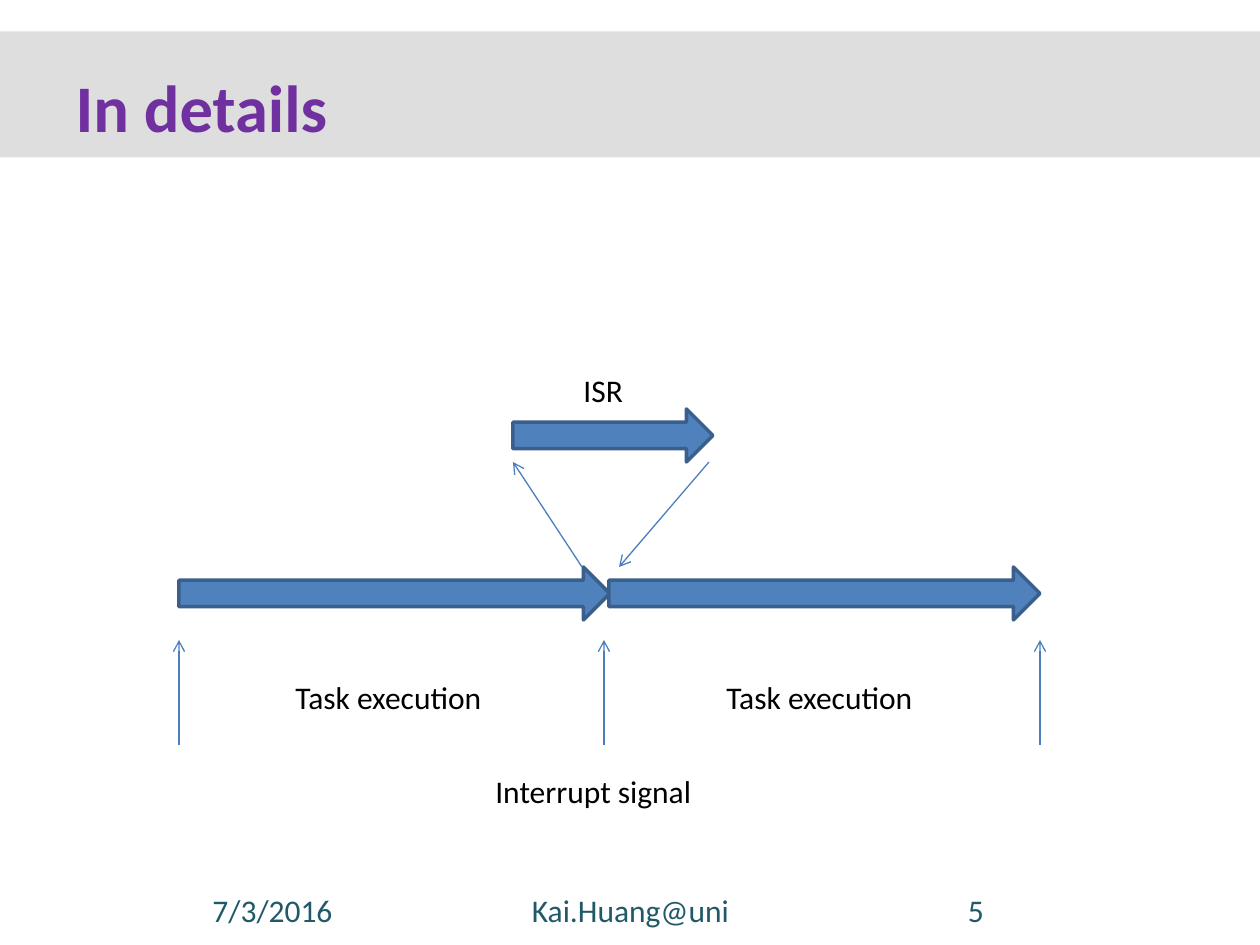
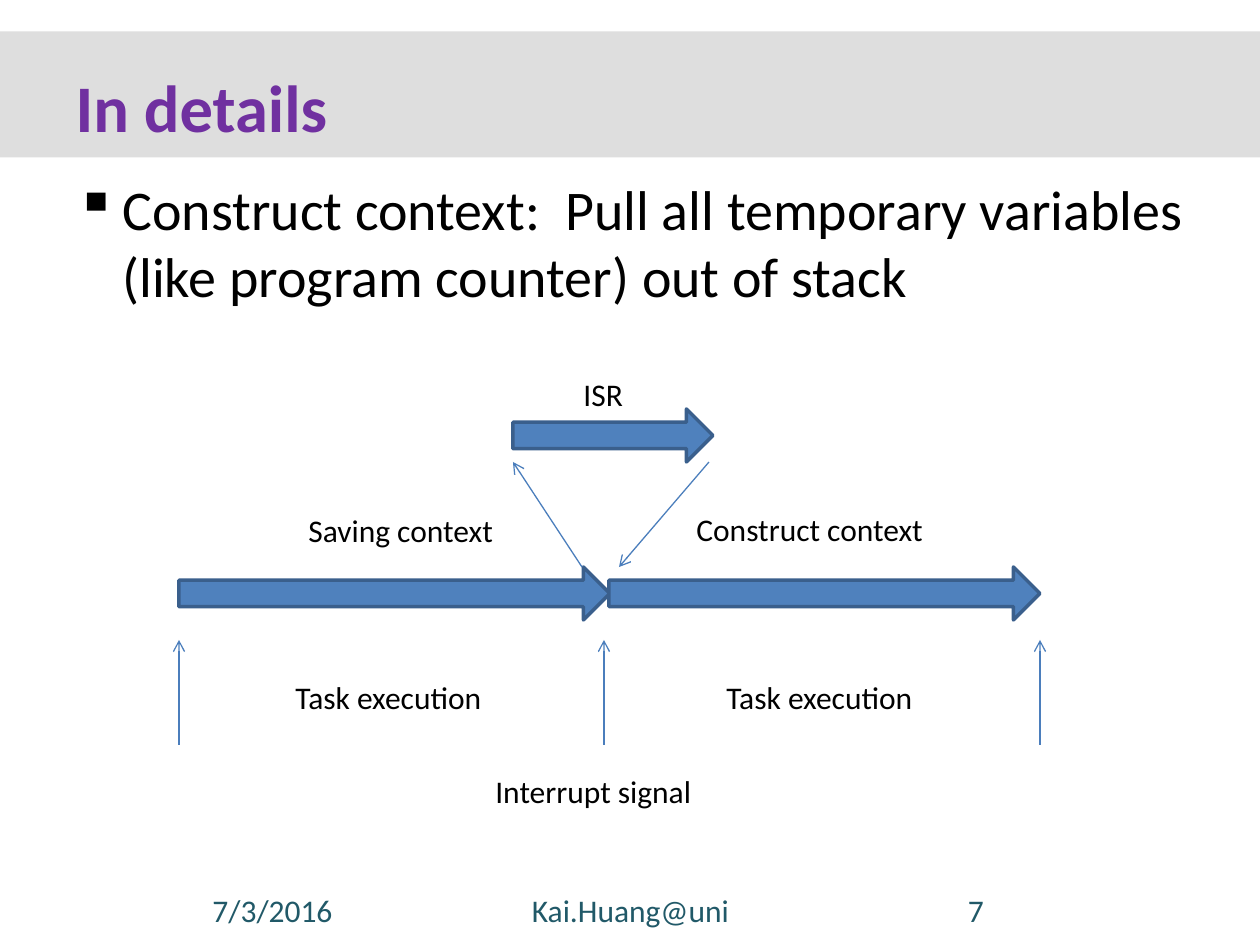
"""Build two slides that show how an interrupt suspends and resumes a task."""
from lxml import etree
from pptx import Presentation
from pptx.dml.color import RGBColor
from pptx.enum.shapes import MSO_CONNECTOR, MSO_SHAPE
from pptx.enum.text import MSO_ANCHOR, PP_ALIGN
from pptx.oxml.ns import qn
from pptx.util import Emu, Pt

STRAIGHT = MSO_CONNECTOR.STRAIGHT
RECTANGLE, RIGHT_ARROW = MSO_SHAPE.RECTANGLE, MSO_SHAPE.RIGHT_ARROW
LEFT, CENTER = PP_ALIGN.LEFT, PP_ALIGN.CENTER
MIDDLE = MSO_ANCHOR.MIDDLE

FONT = "Calibri"
BLACK = RGBColor(0x00, 0x00, 0x00)
BAND_GREY = RGBColor(0xDE, 0xDE, 0xDE)
TITLE_PURPLE = RGBColor(0x70, 0x30, 0xA0)
FOOTER_TEAL = RGBColor(0x21, 0x59, 0x68)
ARROW_BLUE = RGBColor(0x4F, 0x81, 0xBD)
ARROW_EDGE = RGBColor(0x3A, 0x5F, 0x8C)
LINE_BLUE = RGBColor(0x4B, 0x7E, 0xBC)

TITLE_ONLY = 5
LABEL_HEIGHT = 50
FOOTER_TOP = 885
TASK_TOP, TASK_WIDTH, ARROW_HEIGHT = 567, 431, 53
ISR_TOP = 409
ISR_BOTTOM = ISR_TOP + ARROW_HEIGHT
SIGNAL_TOP, SIGNAL_BOTTOM = 640, 745

BLOCK_ARROWS = [
    (179, TASK_TOP, TASK_WIDTH),
    (609, TASK_TOP, TASK_WIDTH),
    (513, ISR_TOP, 200),
]
SWITCHES = [(582, TASK_TOP, 513, ISR_BOTTOM), (709, ISR_BOTTOM, 619, TASK_TOP)]
SIGNALS = [(x, SIGNAL_BOTTOM, x, SIGNAL_TOP) for x in (179, 604, 1040)]
LABELS = [
    ("Task execution", 283, 672, 221),
    ("Task execution", 714, 672, 221),
    ("Interrupt signal", 483, 766, 242),
]
PAGES = [
    {"number": "5", "bullet": None, "labels": [("ISR", 571, 365, 70)]},
    {
        "number": "7",
        "bullet": "Construct context:  Pull all temporary variables "
                  "(like program counter) out of stack",
        "labels": [
            ("ISR", 571, 369, 70),
            ("Saving context", 296, 505, 221),
            ("Construct context", 684, 504, 262),
        ],
    },
]


def px(*lengths):
    return [Emu(round(length * 914400 / 126)) for length in lengths]


def add_text(page, text, bounds, size=18, color=BLACK, align=LEFT):
    box = page.shapes.add_textbox(*px(*bounds))
    box.text_frame.word_wrap = True
    para = box.text_frame.paragraphs[0]
    para.text = text
    para.alignment = align
    para.font.name = FONT
    para.font.size = Pt(size)
    para.font.color.rgb = color
    return para


deck = Presentation()
deck.slide_width, deck.slide_height = px(1260, 945)

for content in PAGES:
    page = deck.slides.add_slide(deck.slide_layouts[TITLE_ONLY])

    band = page.shapes.add_shape(RECTANGLE, *px(0, 31.5, 1260, 126))
    band.shadow.inherit = False
    band.fill.solid()
    band.fill.fore_color.rgb = BAND_GREY
    band.line.fill.background()

    title = page.shapes.title
    title.left, title.top, title.width, title.height = px(63, 53, 1134, 105)
    title.text_frame.text = "In details"
    title.text_frame.vertical_anchor = MIDDLE
    heading = title.text_frame.paragraphs[0]
    heading.alignment = LEFT
    heading.font.name = FONT
    heading.font.size = Pt(38)
    heading.font.bold = True
    heading.font.color.rgb = TITLE_PURPLE
    band.element.addnext(title.element)

    if content["bullet"]:
        para = add_text(page, content["bullet"], (63, 168, 1134, 693), size=32)
        para.space_before = Pt(6.4)
        properties = para._p.get_or_add_pPr()
        indent = px(47)[0]
        properties.set("marL", str(indent))
        properties.set("indent", str(-indent))
        bullet = etree.Element(qn("a:buChar"), char="▪")
        properties.find(qn("a:defRPr")).addprevious(bullet)

    footers = [
        ("7/3/2016", 136, 273),
        ("Kai.Huang@uni", 431, 399),
        (content["number"], 850, 252),
    ]
    for text, left, width in footers:
        bounds = (left, FOOTER_TOP, width, LABEL_HEIGHT)
        add_text(page, text, bounds, color=FOOTER_TEAL, align=CENTER)

    for left, top, width in BLOCK_ARROWS:
        arrow = page.shapes.add_shape(RIGHT_ARROW, *px(left, top, width, ARROW_HEIGHT))
        arrow.shadow.inherit = False
        arrow.fill.solid()
        arrow.fill.fore_color.rgb = ARROW_BLUE
        arrow.line.color.rgb = ARROW_EDGE
        arrow.line.width = Pt(2)

    for ends in SWITCHES + SIGNALS:
        line = page.shapes.add_connector(STRAIGHT, *px(*ends))
        line.line.color.rgb = LINE_BLUE
        line.line.width = Pt(0.75)
        outline = line.line._get_or_add_ln()
        etree.SubElement(outline, qn("a:tailEnd"), type="arrow")
        etree.SubElement(outline.getparent(), qn("a:effectLst"))

    for text, left, top, width in LABELS + content["labels"]:
        add_text(page, text, (left, top, width, LABEL_HEIGHT))

deck.save("out.pptx")
